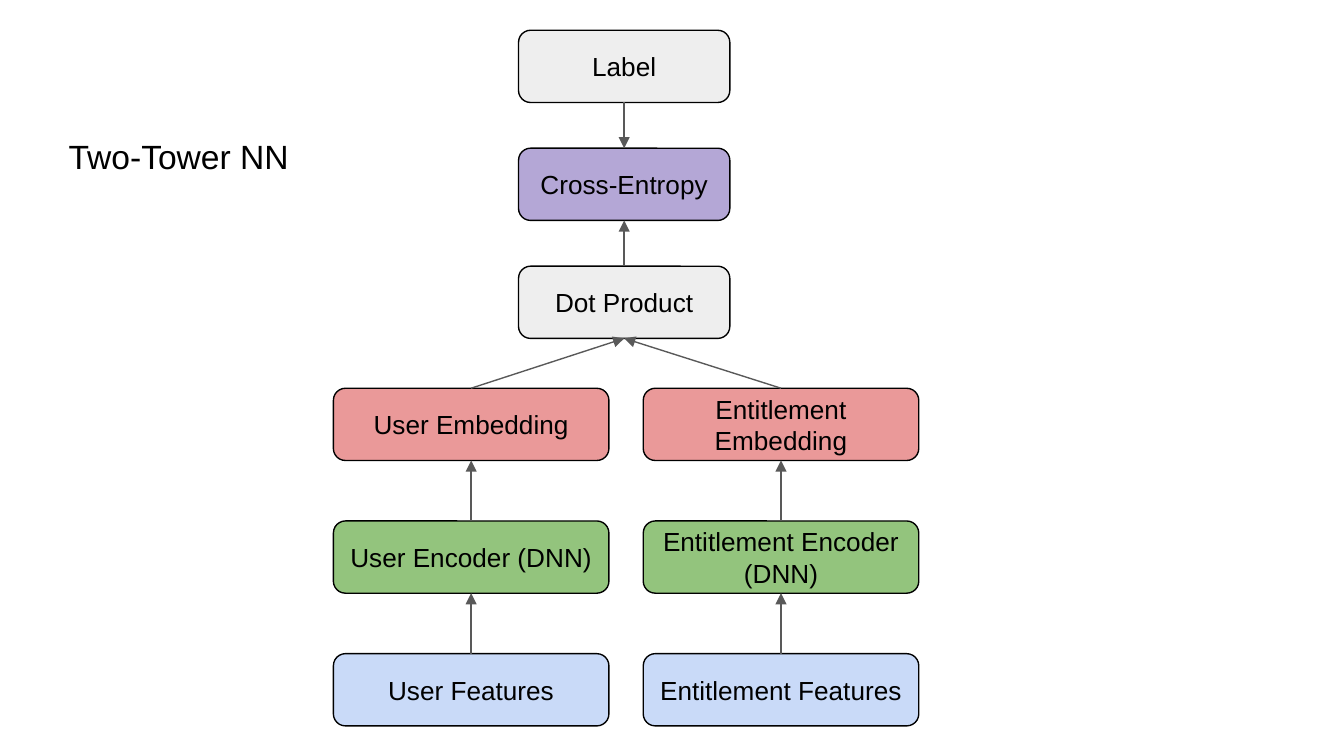
from dataclasses import dataclass

from lxml.etree import SubElement
from pptx import Presentation
from pptx.dml.color import RGBColor
from pptx.enum.shapes import MSO_CONNECTOR, MSO_SHAPE
from pptx.enum.text import MSO_ANCHOR, MSO_AUTO_SIZE, PP_ALIGN
from pptx.oxml.ns import qn
from pptx.shapes.autoshape import Shape
from pptx.slide import Slide
from pptx.text.text import TextFrame
from pptx.util import Pt


@dataclass(frozen=True)
class Theme:
    font: str = "Arial"
    title_size: float = 18
    node_size: float = 14
    line_width: float = 0.75
    ink: str = "000000"
    arrow: str = "595959"
    neutral: str = "EEEEEE"
    loss: str = "B4A7D6"
    embedding: str = "EA9999"
    encoder: str = "93C47D"
    features: str = "C9DAF8"


@dataclass(frozen=True)
class Node:
    label: str
    fill: str
    left: float
    top: float
    width: float


THEME = Theme()
NODE_HEIGHT = 38.7
INSET = 7.2
TOP, BOTTOM = 0, 2

HEAD_LEFT, HEAD_WIDTH = 277.8, 113.2
HEAD_TOP, HEAD_STEP = 16.2, 63.2
HEAD = [("Label", THEME.neutral), ("Cross-Entropy", THEME.loss), ("Dot Product", THEME.neutral)]

TOWER_WIDTH = 147.6
TOWER_TOP, TOWER_STEP = 208, 71.1
TOWER_LEFTS = {"User": 178.6, "Entitlement": 344.6}
LAYERS = [
    ("Embedding", THEME.embedding),
    ("Encoder (DNN)", THEME.encoder),
    ("Features", THEME.features),
]


def set_text(frame: TextFrame, text: str, size: float, align: PP_ALIGN, anchor: MSO_ANCHOR) -> None:
    frame.text = text
    frame.word_wrap = True
    frame.auto_size = MSO_AUTO_SIZE.NONE
    frame.vertical_anchor = anchor
    frame.margin_left = frame.margin_right = Pt(INSET)
    frame.margin_top = frame.margin_bottom = Pt(INSET)
    paragraph = frame.paragraphs[0]
    paragraph.alignment = align
    paragraph.font.name = THEME.font
    paragraph.font.size = Pt(size)
    paragraph.font.color.rgb = RGBColor.from_string(THEME.ink)


def draw_node(slide: Slide, node: Node) -> Shape:
    box = slide.shapes.add_shape(
        MSO_SHAPE.ROUNDED_RECTANGLE,
        Pt(node.left), Pt(node.top), Pt(node.width), Pt(NODE_HEIGHT),
    )
    box.shadow.inherit = False
    box.fill.solid()
    box.fill.fore_color.rgb = RGBColor.from_string(node.fill)
    box.line.color.rgb = RGBColor.from_string(THEME.ink)
    box.line.width = Pt(THEME.line_width)
    set_text(box.text_frame, node.label, THEME.node_size, PP_ALIGN.CENTER, MSO_ANCHOR.MIDDLE)
    return box


def draw_arrow(slide: Slide, source: Shape, target: Shape, upward: bool = True) -> None:
    arrow = slide.shapes.add_connector(MSO_CONNECTOR.STRAIGHT, 0, 0, 0, 0)
    arrow.begin_connect(source, TOP if upward else BOTTOM)
    arrow.end_connect(target, BOTTOM if upward else TOP)
    arrow.line.color.rgb = RGBColor.from_string(THEME.arrow)
    arrow.line.width = Pt(THEME.line_width)
    SubElement(arrow.line._get_or_add_ln(), qn("a:tailEnd"), type="triangle")
    SubElement(arrow._element.spPr, qn("a:effectLst"))


def draw_title(slide: Slide, text: str) -> None:
    title = slide.shapes.title
    title.left, title.top, title.width, title.height = Pt(29.5), Pt(65.5), Pt(139), Pt(39.6)
    set_text(title.text_frame, text, THEME.title_size, PP_ALIGN.LEFT, MSO_ANCHOR.TOP)


def draw_head(slide: Slide) -> Shape:
    """Draw the shared loss column and return the node that the towers feed."""
    label, loss, product = [
        draw_node(slide, Node(text, fill, HEAD_LEFT, HEAD_TOP + row * HEAD_STEP, HEAD_WIDTH))
        for row, (text, fill) in enumerate(HEAD)
    ]
    draw_arrow(slide, label, loss, upward=False)
    draw_arrow(slide, product, loss)
    return product


def draw_tower(slide: Slide, entity: str, left: float, output: Shape) -> None:
    above = output
    for row, (layer, fill) in enumerate(LAYERS):
        top = TOWER_TOP + row * TOWER_STEP
        box = draw_node(slide, Node(f"{entity} {layer}", fill, left, top, TOWER_WIDTH))
        draw_arrow(slide, box, above)
        above = box


def main() -> None:
    deck = Presentation()
    deck.slide_width, deck.slide_height = Pt(720), Pt(405)
    slide = deck.slides.add_slide(deck.slide_layouts.get_by_name("Title Only"))
    draw_title(slide, "Two-Tower NN")
    product = draw_head(slide)
    for entity, left in TOWER_LEFTS.items():
        draw_tower(slide, entity, left, product)
    deck.save("out.pptx")


if __name__ == "__main__":
    main()
